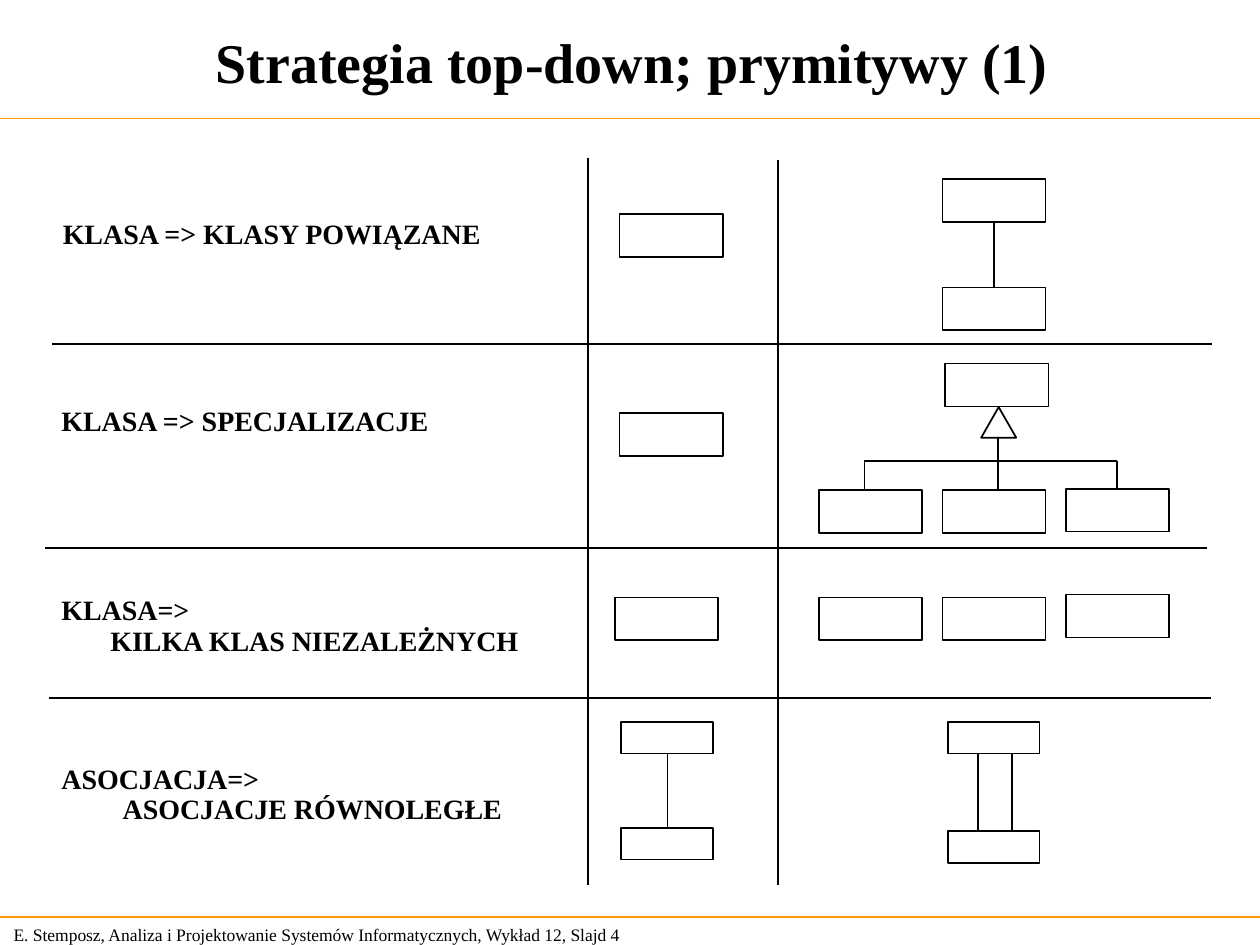
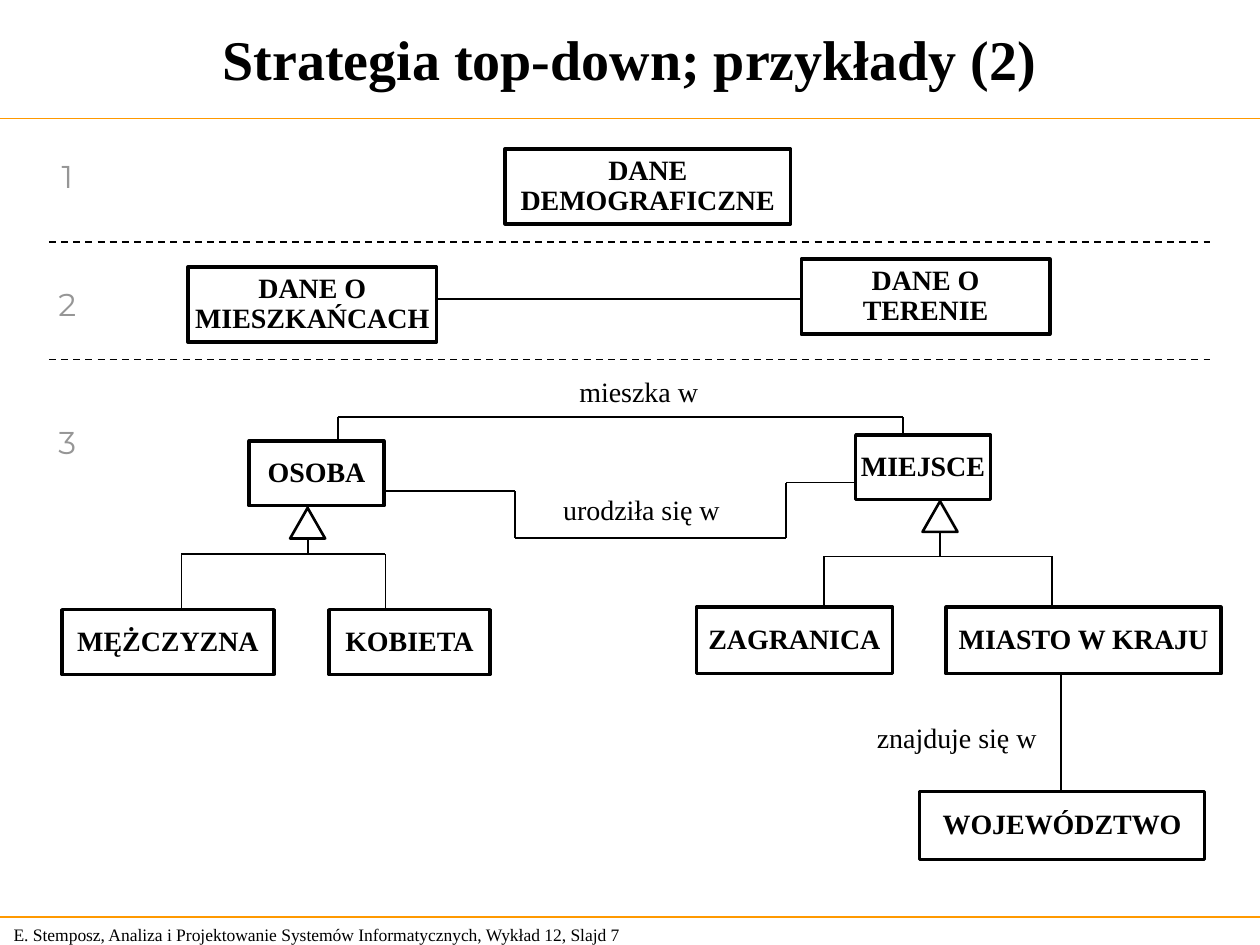
from itertools import pairwise

from lxml import etree
from pptx import Presentation
from pptx.dml.color import RGBColor
from pptx.enum.dml import MSO_LINE
from pptx.enum.shapes import MSO_CONNECTOR, MSO_SHAPE
from pptx.enum.text import MSO_ANCHOR as ANCHOR, PP_ALIGN as ALIGN
from pptx.oxml.ns import qn
from pptx.util import Pt

BLACK = RGBColor(0x00, 0x00, 0x00)
WHITE = RGBColor(0xFF, 0xFF, 0xFF)
ORANGE = RGBColor(0xFF, 0x99, 0x00)
GREY = RGBColor(0x96, 0x96, 0x96)
SERIF, SANS = "Times New Roman", "Montserrat"
FOOTER = "E. Stemposz, Analiza i Projektowanie Systemów Informatycznych, Wykład 12, Slajd {}"
BAND_YS = (67.8, 524)
TRIANGLE = (20, 17.5)

# Slide 1: table of primitives
# Row labels: left, middle y, lines, indent of the second line
ROW_LABELS = [
    (28.8, 134.3, ["KLASA => KLASY POWIĄZANE"], 0),
    (28, 241.6, ["KLASA => SPECJALIZACJE"], 0),
    (28, 358.2, ["KLASA=>", "KILKA KLAS NIEZALEŻNYCH"], 28),
    (28, 454.7, ["ASOCJACJA=>", "ASOCJACJE RÓWNOLEGŁE"], 35),
]
GRID_LINES = [
    [(336.2, 90), (336.2, 506)],
    [(444.4, 91.5), (444.4, 506)],
    [(30, 196.5), (692.6, 196.5)],
    [(26, 313.3), (690, 313.3)],
    [(28, 399), (692, 399)],
]
CLASS_SIZE, SMALL_SIZE = (59, 24.5), (52.5, 18)
COLUMN_XS = (468, 538.5, 609)
CLASSES = [
    (354, 122.3), (354, 236.2), (351.4, 341.4),               # before
    (538.5, 102.4), (538.5, 164.3),                           # linked classes
    (540.2, 207.8), *zip(COLUMN_XS, (280, 280, 279.3)),       # specialisations
    *zip(COLUMN_XS, (341.4, 341.4, 339.8)),                   # independent classes
]
SMALL_CLASSES = [(355, 412.6), (355, 473.2), (541.6, 412.6), (541.6, 475)]
PRIMITIVE_LINKS = [
    [(568.1, 126), (568.1, 165)],
    [(494, 280), (494, 263.3), (638.5, 263.3), (638.5, 279.3)],
    [(570.3, 248), (570.3, 280)],
    [(381.5, 430.6), (381.5, 473.5)],
    [(558.7, 430.6), (558.7, 475)],
    [(578.4, 430.6), (578.4, 475)],
]
PRIMITIVE_TRIANGLE = (560.7, 232.6)

# Slide 2: example in three refinement steps
STEPS = [("1", 86.4), ("2", 159.1), ("3", 238.3)]
STEP_DIVIDER_YS = (138.3, 205.4)
ENTITIES = [
    (288.7, 85, 163, 43, ["DANE", "DEMOGRAFICZNE"]),
    (107.5, 152.5, 142, 43, ["DANE O", "MIESZKAŃCACH"]),
    (457.9, 148, 142, 43, ["DANE O", "TERENIE"]),
    (142.4, 252, 77, 37, ["OSOBA"]),
    (489, 248.5, 77, 37, ["MIEJSCE"]),
    (35.5, 348.4, 121, 37, ["MĘŻCZYZNA"]),
    (188, 348.4, 92, 37, ["KOBIETA"]),
    (398, 347, 112, 38, ["ZAGRANICA"]),
    (540.7, 347, 157, 38, ["MIASTO W KRAJU"]),
    (525.5, 452.2, 163, 39, ["WOJEWÓDZTWO"]),
]
# Association labels: centre x, centre y
ASSOCIATIONS = [
    ("mieszka w", 365, 224.6),
    ("urodziła się w", 366.5, 292.3),
    ("znajduje się w", 546.7, 422.5),
]
ENTITY_LINKS = [
    [(249.8, 171), (457, 171)],
    [(193, 252), (193, 238.5), (516, 238.5), (516, 248.5)],
    [(219.4, 280.7), (294.5, 280.7), (294.5, 307.6),
     (449.3, 307.6), (449.3, 275.8), (489, 275.8)],
    [(103.7, 348.4), (103.7, 316.6), (220.3, 316.6), (220.3, 348.4)],
    [(176, 316.6), (176, 290)],
    [(470.7, 347), (470.7, 318), (601.2, 318), (601.2, 347)],
    [(537.3, 318), (537.3, 285)],
    [(606.4, 385.5), (606.4, 452.2)],
]
ENTITY_TRIANGLES = [(165.8, 290.2), (527.2, 286.4)]


def write(sp, lines, size=16, bold=False, font=SERIF, color=BLACK, align=ALIGN.LEFT,
          anchor=ANCHOR.MIDDLE, spacing=0.9, indent=0, wrap=False):
    tf = sp.text_frame
    tf.word_wrap = wrap
    tf.vertical_anchor = anchor
    for i, line in enumerate(lines):
        p = tf.paragraphs[0] if i == 0 else tf.add_paragraph()
        p.alignment, p.line_spacing = align, spacing
        if i and indent:
            p._p.get_or_add_pPr().set("marL", str(Pt(indent)))
        r = p.add_run()
        r.text = line
        r.font.name, r.font.size, r.font.bold = font, Pt(size), bold
        r.font.color.rgb = color


def add_text(s, x, y, w, h, lines, **style):
    sp = s.shapes.add_textbox(Pt(x), Pt(y), Pt(w), Pt(h))
    write(sp, lines, **style)


def add_outline(s, x, y, w, h, width=1, kind=MSO_SHAPE.RECTANGLE, filled=True):
    sp = s.shapes.add_shape(kind, Pt(x), Pt(y), Pt(w), Pt(h))
    sp.shadow.inherit = False
    if filled:
        sp.fill.solid()
        sp.fill.fore_color.rgb = WHITE
    else:
        sp.fill.background()
    sp.line.color.rgb, sp.line.width = BLACK, Pt(width)
    return sp


def add_triangle(s, corner, width):
    add_outline(s, *corner, *TRIANGLE, width, MSO_SHAPE.ISOSCELES_TRIANGLE)


def add_path(s, points, color=BLACK, width=1, dash=None):
    for start, end in pairwise(points):
        c = s.shapes.add_connector(MSO_CONNECTOR.STRAIGHT, *map(Pt, start + end))
        c.line.color.rgb, c.line.width = color, Pt(width)
        if dash:
            c.line.dash_style = dash
        etree.SubElement(c._element.spPr, qn("a:effectLst"))


def add_slide(prs, title, number, title_offset):
    s = prs.slides.add_slide(prs.slide_layouts[6])
    add_text(s, 0.7, 524, 377, 19.5, [FOOTER.format(number)], size=10, spacing=1)
    for y in BAND_YS:
        add_path(s, [(0, y), (720, y)], ORANGE, 0.75)
    add_text(s, title_offset, title_offset, 714, 61, [title], size=32, bold=True,
             align=ALIGN.CENTER, spacing=1, wrap=True)
    return s


def build_primitives(prs):
    s = add_slide(prs, "Strategia top-down; prymitywy (1)", 4, 4.3)
    for points in GRID_LINES + PRIMITIVE_LINKS:
        add_path(s, points)
    for x, middle, lines, indent in ROW_LABELS:
        add_text(s, x, middle - 20, 300, 40, lines, bold=True, indent=indent, wrap=True)
    for corners, size in ((CLASSES, CLASS_SIZE), (SMALL_CLASSES, SMALL_SIZE)):
        for corner in corners:
            add_outline(s, *corner, *size)
    add_triangle(s, PRIMITIVE_TRIANGLE, 1)


def build_example(prs):
    s = add_slide(prs, "Strategia top-down; przykłady (2)", 7, 2.9)
    for y in STEP_DIVIDER_YS:
        add_path(s, [(28, y), (693, y)], dash=MSO_LINE.DASH)
    for points in ENTITY_LINKS:
        add_path(s, points)
    for *frame, lines in ENTITIES:
        sp = add_outline(s, *frame, width=2, filled=False)
        write(sp, lines, bold=True, align=ALIGN.CENTER)
    for label, x, y in ASSOCIATIONS:
        add_text(s, x - 55, y - 12, 110, 24, [label], align=ALIGN.CENTER)
    for corner in ENTITY_TRIANGLES:
        add_triangle(s, corner, 1.5)
    for digit, y in STEPS:
        add_text(s, 20.5, y, 36, 24.5, [digit], size=18, font=SANS, color=GREY,
                 align=ALIGN.CENTER, anchor=ANCHOR.TOP, spacing=1)


def main():
    prs = Presentation()
    prs.slide_width, prs.slide_height = Pt(720), Pt(540)
    build_primitives(prs)
    build_example(prs)
    prs.save("out.pptx")


if __name__ == "__main__":
    main()
